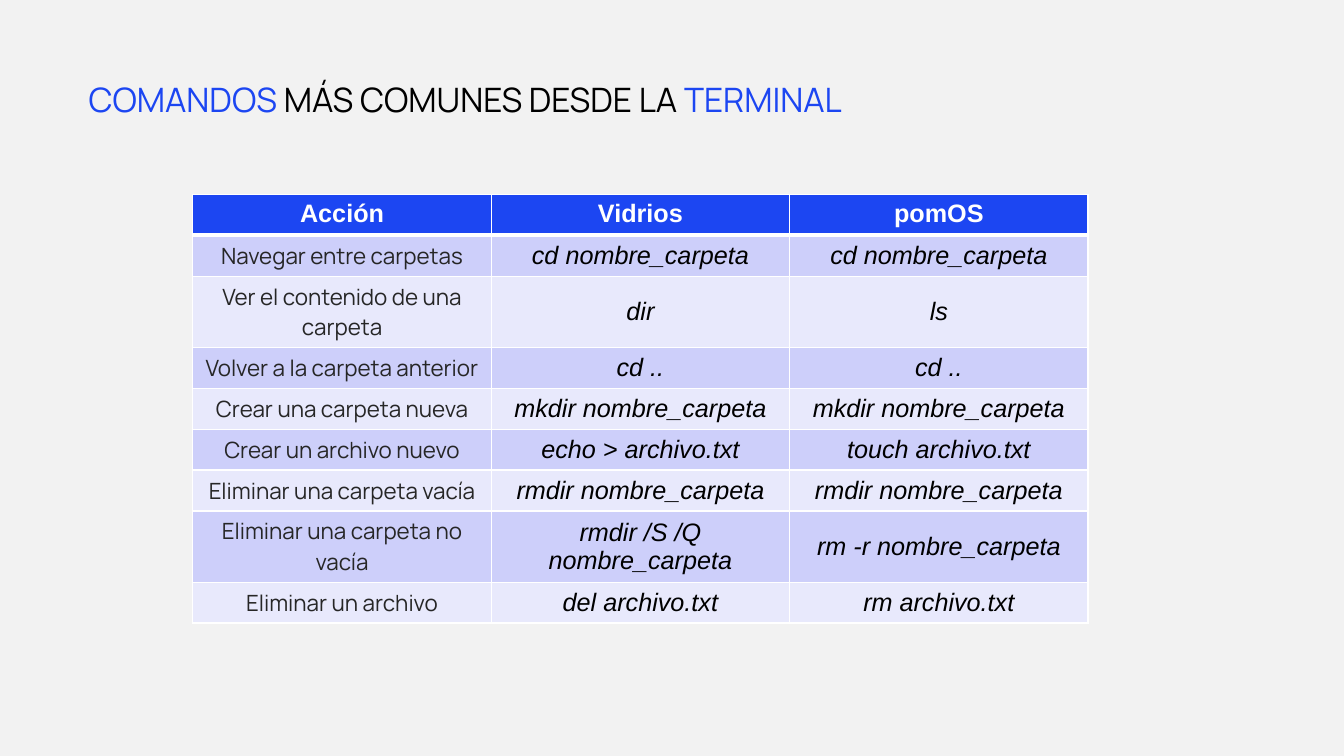
from dataclasses import dataclass

from lxml import etree
from pptx import Presentation
from pptx import util as u
from pptx.dml.color import RGBColor
from pptx.enum import text
from pptx.oxml.ns import qn

# Content
TITLE = [("COMANDOS", "blue"), (" MÁS COMUNES DESDE LA ", "black"), ("TERMINAL", "blue")]
HEADER = ("Acción", "Vidrios", "pomOS")
COMMANDS = [
    ("Navegar entre carpetas", "cd nombre_carpeta", "cd nombre_carpeta"),
    ("Ver el contenido de una carpeta", "dir", "ls"),
    ("Volver a la carpeta anterior", "cd ..", "cd .."),
    ("Crear una carpeta nueva", "mkdir nombre_carpeta", "mkdir nombre_carpeta"),
    ("Crear un archivo nuevo", "echo > archivo.txt", "touch archivo.txt"),
    ("Eliminar una carpeta vacía", "rmdir nombre_carpeta", "rmdir nombre_carpeta"),
    ("Eliminar una carpeta no vacía", "rmdir /S /Q nombre_carpeta", "rm -r nombre_carpeta"),
    ("Eliminar un archivo", "del archivo.txt", "rm archivo.txt"),
]


@dataclass(frozen=True)
class Theme:
    background: str = "F2F2F2"
    blue: str = "1C46F2"
    black: str = "000000"
    white: str = "FFFFFF"
    action: str = "262626"
    bands: tuple = ("CDCFFA", "E8E9FC")
    heading_font: str = "Manrope"
    command_font: str = "Arial"
    title_size: int = 24
    action_size: int = 16
    command_size: int = 18


theme = Theme()


def add_run(paragraph, words, font, size, color, bold=False, italic=False):
    run = paragraph.add_run()
    run.text = words
    run.font.name, run.font.size = font, u.Pt(size)
    run.font.bold, run.font.italic = bold, italic
    run.font.color.rgb = RGBColor.from_string(color)


def set_borders(cell, bottom_width):
    properties = cell._tc.get_or_add_tcPr()
    widths = {"a:lnL": 1, "a:lnR": 1, "a:lnT": 1, "a:lnB": bottom_width}
    for position, (tag, width) in enumerate(widths.items()):
        line = etree.Element(qn(tag), w=str(u.Pt(width)))
        fill = etree.SubElement(line, qn("a:solidFill"))
        etree.SubElement(fill, qn("a:srgbClr"), val=theme.white)
        properties.insert(position, line)


def fill_cell(cell, words, row, column):
    is_header = row == 0
    color = theme.blue if is_header else theme.bands[(row - 1) % 2]
    cell.fill.solid()
    cell.fill.fore_color.rgb = RGBColor.from_string(color)
    paragraph = cell.text_frame.paragraphs[0]
    paragraph.alignment = text.PP_ALIGN.CENTER
    if is_header:
        add_run(paragraph, words, theme.command_font, theme.command_size, theme.white, bold=True)
    else:
        cell.vertical_anchor = text.MSO_ANCHOR.MIDDLE
        if column == 0:
            add_run(paragraph, words, theme.heading_font, theme.action_size, theme.action)
        else:
            add_run(paragraph, words, theme.command_font, theme.command_size, theme.black, italic=True)
    # The header's lower edge is heavier, and the first body row shares it
    set_borders(cell, 3 if is_header else 1)
    if row == 1:
        cell._tc.tcPr.find(qn("a:lnT")).set("w", str(u.Pt(3)))


def build_title(slide):
    title = slide.shapes.title
    title.left, title.top = u.Cm(1.98), u.Cm(1.3)
    title.width, title.height = u.Cm(28.3), u.Cm(1.73)
    frame = title.text_frame
    frame.word_wrap = True
    frame.auto_size = text.MSO_AUTO_SIZE.NONE
    frame.vertical_anchor = text.MSO_ANCHOR.TOP
    paragraph = frame.paragraphs[0]
    paragraph.alignment = text.PP_ALIGN.LEFT
    paragraph.line_spacing = u.Pt(45)
    for words, color in TITLE:
        add_run(paragraph, words, theme.heading_font, theme.title_size, getattr(theme, color))


def build_table(slide):
    rows = [HEADER] + COMMANDS
    column_width, row_height = u.Cm(7.52), u.Cm(1.03)
    table = slide.shapes.add_table(
        len(rows), len(HEADER), u.Cm(4.86), u.Cm(4.9),
        column_width * len(HEADER), row_height * len(rows)).table
    for row, entries in enumerate(rows):
        table.rows[row].height = row_height
        for column, words in enumerate(entries):
            fill_cell(table.cell(row, column), words, row, column)


def main():
    presentation = Presentation()
    presentation.slide_width, presentation.slide_height = u.Cm(33.87), u.Cm(19.05)
    slide = presentation.slides.add_slide(presentation.slide_layouts[5])
    slide.background.fill.solid()
    slide.background.fill.fore_color.rgb = RGBColor.from_string(theme.background)
    build_title(slide)
    build_table(slide)
    presentation.save("out.pptx")


if __name__ == "__main__":
    main()
